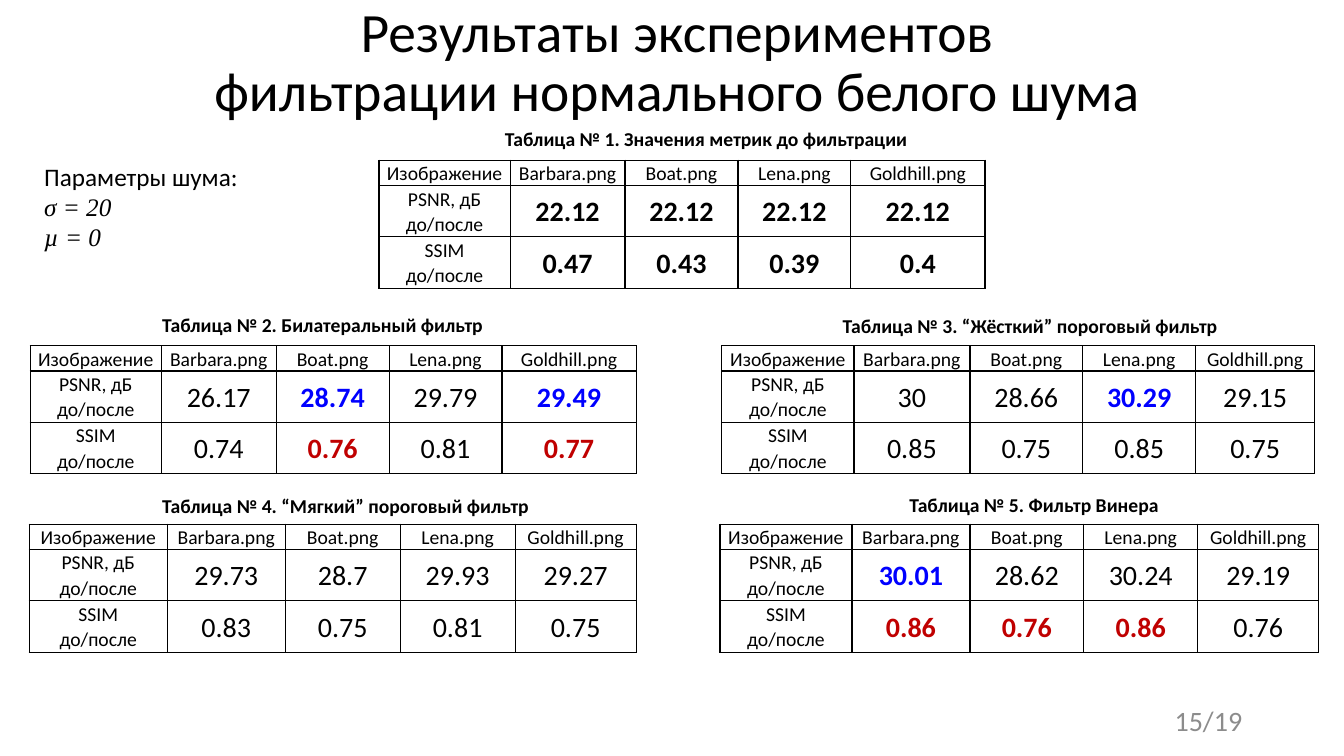
from lxml import etree
from pptx import Presentation
from pptx.dml.color import RGBColor
from pptx.enum.text import MSO_ANCHOR, MSO_AUTO_SIZE, PP_ALIGN
from pptx.oxml.ns import qn
from pptx.util import Inches, Pt

MIDDLE, TOP = MSO_ANCHOR.MIDDLE, MSO_ANCHOR.TOP
CENTER, LEFT, RIGHT = PP_ALIGN.CENTER, PP_ALIGN.LEFT, PP_ALIGN.RIGHT
FIT_SHAPE = MSO_AUTO_SIZE.SHAPE_TO_FIT_TEXT

BLACK, BLUE, RED, GRAY = "000000", "0000FF", "C00000", "8C8C8C"
IMAGES = ["Barbara.png", "Boat.png", "Lena.png", "Goldhill.png"]
METRICS = ["PSNR, дБ\nдо/после", "SSIM\nдо/после"]
BEST_COLORS = [BLUE, RED]
ROW_HEIGHTS = [0.25, 0.51, 0.51]

# Each table: caption, caption box, table corner, column widths, metric rows
WIDE_COLUMNS = [1.3, 1.14, 1.12, 1.12, 1.33]
UNFILTERED = (
    "Таблица № 1. Значения метрик до фильтрации", (4.91, 1.21, 4.21, 0.34),
    (3.76, 1.59), WIDE_COLUMNS,
    [["22.12", "22.12", "22.12", "22.12"], ["0.47", "0.43", "0.39", "0.4"]])
FILTERED = [
    ("Таблица № 2. Билатеральный фильтр", (1.51, 3.05, 3.4, 0.34),
     (0.3, 3.43), WIDE_COLUMNS,
     [["26.17", "28.74", "29.79", "29.49"], ["0.74", "0.76", "0.81", "0.77"]]),
    ("Таблица № 3. “Жёсткий” пороговый фильтр", (8.26, 3.06, 3.94, 0.34),
     (7.16, 3.43), [1.31, 1.15, 1.12, 1.12, 1.18],
     [["30", "28.66", "30.29", "29.15"], ["0.85", "0.75", "0.85", "0.75"]]),
    ("Таблица № 4. “Мягкий” пороговый фильтр", (1.51, 4.85, 3.86, 0.34),
     (0.29, 5.2), [1.37, 1.17, 1.14, 1.14, 1.2],
     [["29.73", "28.7", "29.93", "29.27"], ["0.83", "0.75", "0.81", "0.75"]]),
    ("Таблица № 5. Фильтр Винера", (8.92, 4.84, 2.69, 0.34),
     (7.14, 5.2), [1.31, 1.17, 1.13, 1.13, 1.2],
     [["30.01", "28.62", "30.24", "29.19"], ["0.86", "0.76", "0.86", "0.76"]]),
]


def color(hex_value):
    return RGBColor.from_string(hex_value)


def write_para(para, text, size, ink=BLACK, layout=None, **font_format):
    """Fill one paragraph and format all of its spans."""
    para.text = text
    for name, value in (layout or {}).items():
        setattr(para, name, value)
    for span in para.runs:
        values = {"name": "Calibri", "size": Pt(size), **font_format}
        for name, value in values.items():
            setattr(span.font, name, value)
        span.font.color.rgb = color(ink)


def add_text_box(page, box, anchor=MIDDLE, wrap=True):
    frame = page.shapes.add_textbox(*map(Inches, box)).text_frame
    frame.word_wrap = wrap
    frame.vertical_anchor = anchor
    return frame


def add_title(page, box):
    frame = add_text_box(page, box)
    write_para(frame.paragraphs[0],
               "Результаты экспериментов\vфильтрации нормального белого шума",
               39.6, layout={"alignment": CENTER, "line_spacing": 0.9})


def add_noise_parameters(page, box):
    frame = add_text_box(page, box, TOP)
    frame.auto_size = FIT_SHAPE
    write_para(frame.paragraphs[0], "Параметры шума:", 18)
    for text in ("σ = 20", "µ = 0"):
        write_para(frame.add_paragraph(), text, 18,
                   name="Times New Roman", italic=True)


def add_page_number(page, box):
    frame = add_text_box(page, box)
    write_para(frame.paragraphs[0], "15/19", 20, GRAY, {"alignment": RIGHT})


def add_caption(page, text, box):
    frame = add_text_box(page, box, wrap=False)
    frame.auto_size = FIT_SHAPE
    write_para(frame.paragraphs[0], text, 14, layout={"alignment": LEFT}, bold=True)


def fill_cell(cell, text, size, ink=BLACK, bold=False):
    cell_format = {"margin_left": Inches(0.07), "margin_right": Inches(0.07),
                   "margin_top": 0, "margin_bottom": 0, "vertical_anchor": MIDDLE}
    for name, value in cell_format.items():
        setattr(cell, name, value)
    # Borders come before the fill in the cell properties
    properties = cell._tc.get_or_add_tcPr()
    for side in ("a:lnL", "a:lnR", "a:lnT", "a:lnB"):
        line = etree.SubElement(properties, qn(side), w=str(Pt(1)))
        fill = etree.SubElement(line, qn("a:solidFill"))
        etree.SubElement(fill, qn("a:srgbClr"), val=BLACK)
    cell.fill.background()
    cell.text = text
    for para in cell.text_frame.paragraphs:
        write_para(para, para.text, size, ink,
                   {"alignment": CENTER, "line_spacing": 1.07}, bold=bold)


def add_metric_table(page, corner, column_widths, values, style):
    """Place the table at its corner; style gives colour and weight of a value."""
    box = (*corner, sum(column_widths), sum(ROW_HEIGHTS))
    table = page.shapes.add_table(len(ROW_HEIGHTS), len(column_widths),
                                  *map(Inches, box)).table
    table.first_row = table.horz_banding = False
    for column, width in zip(table.columns, column_widths):
        column.width = Inches(width)
    for row, height in zip(table.rows, ROW_HEIGHTS):
        row.height = Inches(height)
    for index, text in enumerate(["Изображение", *IMAGES]):
        fill_cell(table.cell(0, index), text, 14)
    for metric, label in enumerate(METRICS):
        fill_cell(table.cell(metric + 1, 0), label, 14)
        for image, value in enumerate(values[metric]):
            ink, bold = style(metric, image, value)
            fill_cell(table.cell(metric + 1, image + 1), value, 20, ink, bold)


def plain_bold(metric, image, value):
    return BLACK, True


def highlight_best(metric, image, value):
    """Colour the highest value that any filter reaches for the image."""
    best = max(float(values[metric][image]) for *_, values in FILTERED)
    return (BEST_COLORS[metric], True) if float(value) == best else (BLACK, False)


def add_captioned_table(page, table_data, style):
    caption, caption_box, corner, column_widths, values = table_data
    add_metric_table(page, corner, column_widths, values, style)
    add_caption(page, caption, caption_box)


def main():
    deck = Presentation()
    deck.slide_width, deck.slide_height = Inches(13.33), Inches(7.5)
    page = deck.slides.add_slide(deck.slide_layouts[6])
    add_title(page, (0.82, 0.29, 11.79, 0.69))
    add_noise_parameters(page, (0.34, 1.55, 2.85, 1.01))
    add_captioned_table(page, UNFILTERED, plain_bold)
    for table_data in FILTERED:
        add_captioned_table(page, table_data, highlight_best)
    add_page_number(page, (9.42, 6.95, 3, 0.4))
    deck.save("out.pptx")


if __name__ == "__main__":
    main()
